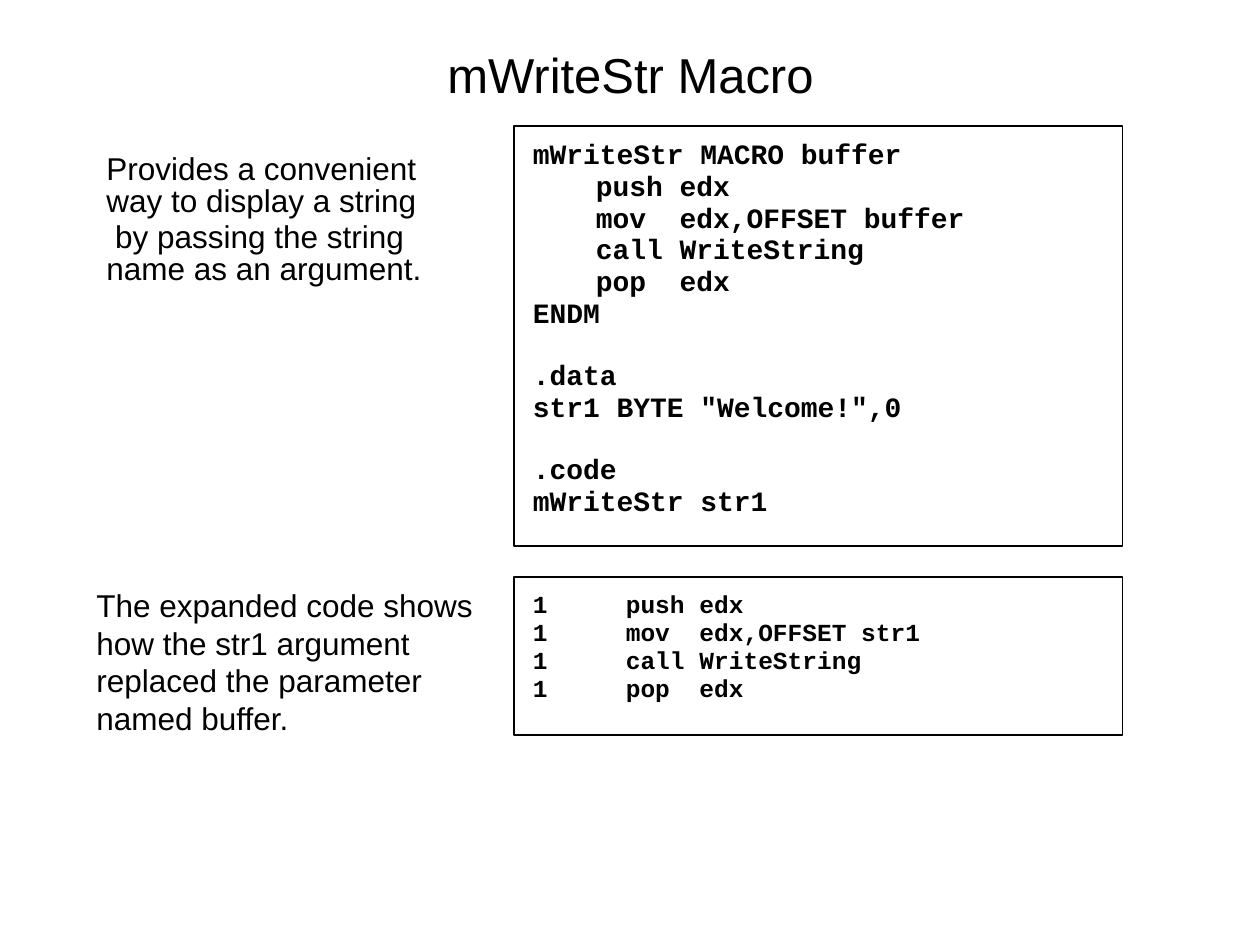
from lxml.etree import SubElement
from pptx import Presentation
from pptx.dml.color import RGBColor
from pptx.enum.shapes import MSO_SHAPE
from pptx.enum.text import MSO_ANCHOR, PP_ALIGN
from pptx.oxml.ns import qn
from pptx.util import Emu, Pt

PX = 914400 // 126
BLACK = "000000"
TITLE = "mWriteStr Macro"
CODE_X, CODE_W = 514, 609

CODE_BOXES = [
    dict(y=126, h=420, size=16, tab=63, before=8.5, gap=26.1, blocks=[
        ["mWriteStr MACRO buffer", "\tpush edx", "\tmov  edx,OFFSET buffer",
         "\tcall WriteString", "\tpop  edx", "ENDM"],
        [".data", 'str1 BYTE "Welcome!",0'],
        [".code", "mWriteStr str1"],
    ]),
    dict(y=577, h=158, size=14, tab=93, before=7.5, gap=23, blocks=[
        ["1\tpush edx", "1\tmov  edx,OFFSET str1",
         "1\tcall WriteString", "1\tpop  edx"],
    ]),
]
NOTES = [
    ((94, 136, 399, 171), 0.85, 1.8,
     ["Provides a convenient way to display a string",
      " by passing the string name as an argument."]),
    ((84, 567, 410, 189), 1.0, 9,
     ["The expanded code shows how the str1 argument replaced "
      "the parameter named buffer."]),
]


def px(n):
    return Emu(n * PX)


def color(value):
    return RGBColor.from_string(value)


def set_frame(tf, dx, dy, anchor=MSO_ANCHOR.TOP):
    tf.word_wrap = True
    tf.vertical_anchor = anchor
    tf.margin_left = tf.margin_right = Pt(dx)
    tf.margin_top = tf.margin_bottom = Pt(dy)


def format_text(p, font, size, bold=False, align=PP_ALIGN.LEFT):
    p.alignment = align
    for r in p.runs:
        r.font.name = font
        r.font.size = Pt(size)
        r.font.bold = bold
        r.font.color.rgb = color(BLACK)


def add_tab(p, pos):
    tabs = SubElement(p._p.get_or_add_pPr(), qn("a:tabLst"))
    SubElement(tabs, qn("a:tab"), pos=str(px(pos)), algn="l")


def add_code(s, box):
    sp = s.shapes.add_shape(MSO_SHAPE.RECTANGLE, px(CODE_X), px(box["y"]),
                            px(CODE_W), px(box["h"]))
    sp.shadow.inherit = False
    sp.fill.background()
    sp.line.color.rgb = color(BLACK)
    sp.line.width = Pt(0.75)
    tf = sp.text_frame
    set_frame(tf, 10.8, 14.4)
    tf.text = "\n".join(line for block in box["blocks"] for line in block)
    starts = [block[0] for block in box["blocks"][1:]]
    for p in tf.paragraphs:
        format_text(p, "Courier New", box["size"], bold=True)
        p.line_spacing = 0.5
        p.space_before = Pt(box["gap"] if p.text in starts else box["before"])
        add_tab(p, box["tab"])


def add_note(s, rect, spacing, before, lines):
    tf = s.shapes.add_textbox(*map(px, rect)).text_frame
    set_frame(tf, 7.2, 10.8)
    tf.text = "\n".join(lines)
    for p in tf.paragraphs:
        format_text(p, "Arial", 18)
        p.line_spacing = spacing
        p.space_before = Pt(before)


prs = Presentation()
prs.slide_width, prs.slide_height = px(1260), px(945)
s = prs.slides.add_slide(prs.slide_layouts[5])

title = s.shapes.title
title.left, title.top, title.width, title.height = map(px, (95, 32, 1071, 84))
title.text_frame.text = TITLE
set_frame(title.text_frame, 7.2, 3.6, MSO_ANCHOR.MIDDLE)
format_text(title.text_frame.paragraphs[0], "Arial", 28, align=PP_ALIGN.CENTER)

for box in CODE_BOXES:
    add_code(s, box)
for note in NOTES:
    add_note(s, *note)

prs.save("out.pptx")
